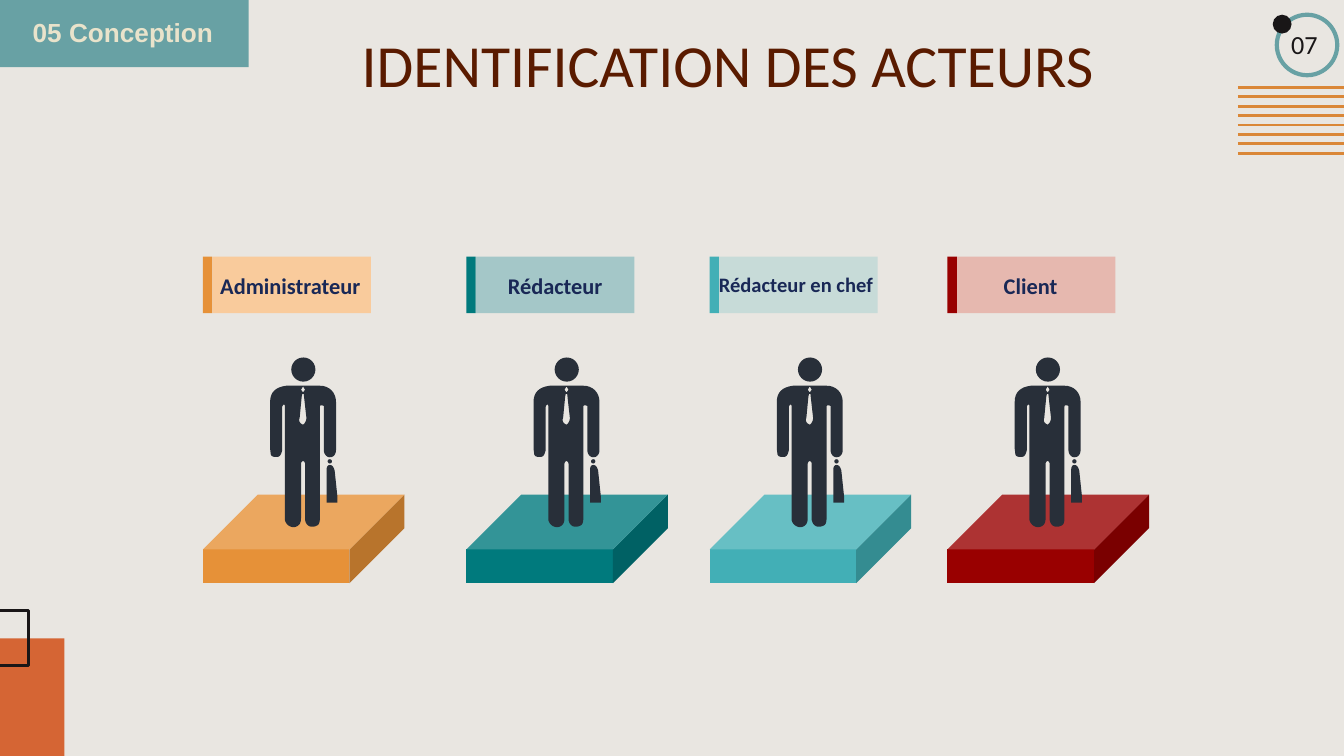
"""Build the slide that presents the four actors of the system."""
from dataclasses import dataclass

from lxml import etree
from pptx import Presentation
from pptx.dml.color import RGBColor
from pptx.enum.shapes import MSO_CONNECTOR, MSO_SHAPE
from pptx.enum.text import MSO_ANCHOR, MSO_AUTO_SIZE, PP_ALIGN
from pptx.oxml.ns import qn
from pptx.util import Pt

RECT, CUBE, OVAL = MSO_SHAPE.RECTANGLE, MSO_SHAPE.CUBE, MSO_SHAPE.OVAL
STRAIGHT = MSO_CONNECTOR.STRAIGHT
LEFT, CENTER = PP_ALIGN.LEFT, PP_ALIGN.CENTER
TOP, MIDDLE = MSO_ANCHOR.TOP, MSO_ANCHOR.MIDDLE
NO_FIT = MSO_AUTO_SIZE.NONE

COLORS = {
    "background": "E9E6E1", "stripe": "DA8737", "corner": "D56534",
    "black": "191617", "title": "5A1B00", "teal": "68A1A4",
    "section": "E9E3CB", "label": "192856", "figure": "282F39",
}
LABEL = {"name": "Calibri", "size": Pt(12), "bold": True}
TITLE = {"name": "Calibri", "size": Pt(32), "bold": False}
NUMBER = {"name": "Calibri", "size": Pt(14), "bold": False}
SECTION = {"name": "Arial", "size": Pt(14), "bold": True}

GRID = 0.72
BODY = [
    (40, 36), (37, 35, 37, 36, 37, 37), (37, 119),
    (37, 121, 37, 124, 35, 125), (31, 127, 27, 126, 26, 121),
    (26, 79), (26, 78, 25, 77, 24.5, 77), (24, 77, 23, 78, 23, 79),
    (23, 119), (23, 123, 22, 125, 19, 126), (16, 127, 12, 125, 11, 121),
    (11, 37), (11, 36, 11, 35, 10, 35), (10, 35, 9, 36, 9, 37),
    (9, 69), (8, 73, 7, 74, 5, 74), (3, 74, 1, 74, 0.5, 72), (0, 68),
    (0, 33), (0, 26, 4, 22, 12, 21), (37, 21), (44, 21, 49, 26, 49, 33),
    (49, 69), (49, 73, 46, 75, 43, 74), (41, 73, 40, 71, 40, 69),
]
TIE = [
    (24.5, 50), (26, 49, 27, 47, 27, 45), (26, 36), (25, 27), (24, 27),
    (23.5, 29), (22, 45), (21, 47, 22, 49, 24.5, 50),
]
KNOT = [(24.5, 21.5), (23, 24), (24.5, 26), (26, 24)]
BRIEFCASE = [
    (50, 108), (42, 108), (42, 84), (42, 81, 43, 80, 44.5, 80),
    (46, 80, 47, 81, 48, 84), (50, 103),
]


@dataclass
class Actor:
    """One actor with its card, colours and label box."""
    name: str
    x: float
    color: str
    tint: str
    label_x: float
    label_w: float
    size: float = 12
    wrap: bool = True


ACTORS = [
    Actor("Administrateur", 108.72, "E69138", "F9CB9C", 110.88, 106.56),
    Actor("Rédacteur", 249.84, "007A7D", "A4C7C8", 264.96, 88.56),
    Actor("Rédacteur en chef", 380.16, "42AFB6", "C7DBD8", 378, 97.92, 11, False),
    Actor("Client", 507.6, "990000", "E6B8AF", 530.64, 74.16),
]


def rgb(key: str) -> RGBColor:
    """Return a named colour, or the hex string itself as a colour."""
    return RGBColor.from_string(COLORS.get(key, key))


def paint(s, fill: str | None, line: str | None = None, width: float = 0) -> None:
    """Set the fill and outline of a shape and drop its shadow."""
    s.shadow.inherit = False
    if fill:
        s.fill.solid()
        s.fill.fore_color.rgb = rgb(fill)
    else:
        s.fill.background()
    if line:
        s.line.color.rgb = rgb(line)
        s.line.width = Pt(width)
    else:
        s.line.fill.background()


def add_shape(shapes, kind, x: float, y: float, w: float, h: float, *style):
    """Add a painted preset shape."""
    s = shapes.add_shape(kind, Pt(x), Pt(y), Pt(w), Pt(h))
    paint(s, *style)
    return s


def write(tf, text: str, color: str, fmt: dict, align=LEFT) -> None:
    """Write one formatted paragraph."""
    p = tf.paragraphs[0]
    p.alignment = align
    r = p.add_run()
    r.text = text
    for key, value in fmt.items():
        setattr(r.font, key, value)
    r.font.color.rgb = rgb(color)


def place(s, x: float, y: float, w: float, h: float, anchor, margin_x: float, margin_y: float):
    """Move a placeholder and return its prepared text frame."""
    s.left, s.top, s.width, s.height = Pt(x), Pt(y), Pt(w), Pt(h)
    tf = s.text_frame
    frame = {
        "word_wrap": True, "auto_size": NO_FIT, "vertical_anchor": anchor,
        "margin_left": Pt(margin_x), "margin_right": Pt(margin_x),
        "margin_top": Pt(margin_y), "margin_bottom": Pt(margin_y),
    }
    for key, value in frame.items():
        setattr(tf, key, value)
    tf.paragraphs[0].space_before = Pt(0)
    return tf


def add_text(shapes, x: float, y: float, w: float, h: float, wrap: bool = True):
    """Add a text box and return its text frame."""
    tf = shapes.add_textbox(Pt(x), Pt(y), Pt(w), Pt(h)).text_frame
    tf.word_wrap = wrap
    return tf


def flatten(contour: list, steps: int = 8) -> list:
    """Turn line points and cubic curves into a list of lengths."""
    points = [contour[0]]
    for seg in contour[1:]:
        if len(seg) == 2:
            points.append(seg)
            continue
        ctrl = [points[-1], seg[:2], seg[2:4], seg[4:]]
        for i in range(1, steps + 1):
            t = i / steps
            weights = ((1 - t) ** 3, 3 * t * (1 - t) ** 2, 3 * t * t * (1 - t), t ** 3)
            points.append(tuple(sum(k * c[a] for k, c in zip(weights, ctrl)) for a in (0, 1)))
    return [(Pt(px * GRID), Pt(py * GRID)) for px, py in points]


def add_outline(shapes, x: float, y: float, *contours: list) -> None:
    """Add a freeform whose inner contours are holes."""
    first, *holes = [flatten(c) for c in contours]
    builder = shapes.build_freeform(*first[0])
    builder.add_line_segments(first[1:], close=True)
    for hole in holes:
        builder.move_to(*hole[0])
        builder.add_line_segments(hole[1:], close=True)
    paint(builder.convert_to_shape(Pt(x), Pt(y)), "figure")


def add_figure(shapes, x: float, y: float) -> None:
    """Draw the businessman as a group."""
    parts = shapes.add_group_shape().shapes
    add_outline(parts, x, y, BODY, TIE, KNOT)
    add_outline(parts, x, y, BRIEFCASE)
    add_shape(parts, OVAL, x + 11.3, y, 12.96, 12.96, "figure")
    add_shape(parts, OVAL, x + 30.8, y + 54.5, 2.3, 2.3, "figure")


def add_actor(shapes, actor: Actor) -> None:
    """Draw a card, its platform, the figure and the label."""
    add_shape(shapes, RECT, actor.x + 5.04, 137.5, 84.96, 30.24, actor.tint)
    cube = add_shape(shapes, CUBE, actor.x, 264.96, 108, 47.52, actor.color)
    cube.adjustments[0] = 0.62
    add_shape(shapes, RECT, actor.x, 137.5, 5.04, 30.24, actor.color)
    add_figure(shapes, actor.x + 36, 191.52)
    tf = add_text(shapes, actor.label_x, 142.4, actor.label_w, 21.6, actor.wrap)
    write(tf, actor.name, "label", LABEL | {"size": Pt(actor.size)})


def add_stripe(shapes, y: float) -> None:
    """Draw one line of the striped ornament."""
    c = shapes.add_connector(STRAIGHT, Pt(663.12), Pt(y), Pt(861.12), Pt(y))
    c.line.color.rgb = rgb("stripe")
    c.line.width = Pt(1.5)
    etree.SubElement(c._element.spPr, qn("a:effectLst"))


def main() -> None:
    """Build and save the slide."""
    prs = Presentation()
    prs.slide_width, prs.slide_height = Pt(720), Pt(405)
    slide = prs.slides.add_slide(prs.slide_layouts[0])
    slide.background.fill.solid()
    slide.background.fill.fore_color.rgb = rgb("background")
    shapes = slide.shapes

    tf = place(shapes.title, 186.48, 5.76, 462.96, 47.52, TOP, 7.2, 3.6)
    tf.paragraphs[0].line_spacing = 1.15
    write(tf, "IDENTIFICATION DES ACTEURS", "title", TITLE)
    tf = place(slide.placeholders[1], 683.28, 14.4, 30.96, 18.72, MIDDLE, 7.2, 7.2)
    write(tf, "07", "black", NUMBER, CENTER)

    for i in range(8):
        add_stripe(shapes, 46.8 + 5.04 * i)
    add_shape(shapes, RECT, 0, 342, 34.56, 66.24, "corner")
    add_shape(shapes, RECT, -14.4, 326.88, 29.52, 29.52, None, "black", 1.5)
    add_shape(shapes, OVAL, 684, 7.92, 32.4, 32.4, None, "teal", 2.25)
    add_shape(shapes, OVAL, 681.84, 7.92, 10.08, 10.08, "black")

    for actor in ACTORS:
        add_actor(shapes, actor)

    add_shape(shapes, RECT, -2.16, 0, 135.36, 36, "teal")
    tf = add_text(shapes, -17.28, 5.04, 166.32, 24.48)
    write(tf, "05 Conception", "section", SECTION, CENTER)
    prs.save("out.pptx")


if __name__ == "__main__":
    main()
